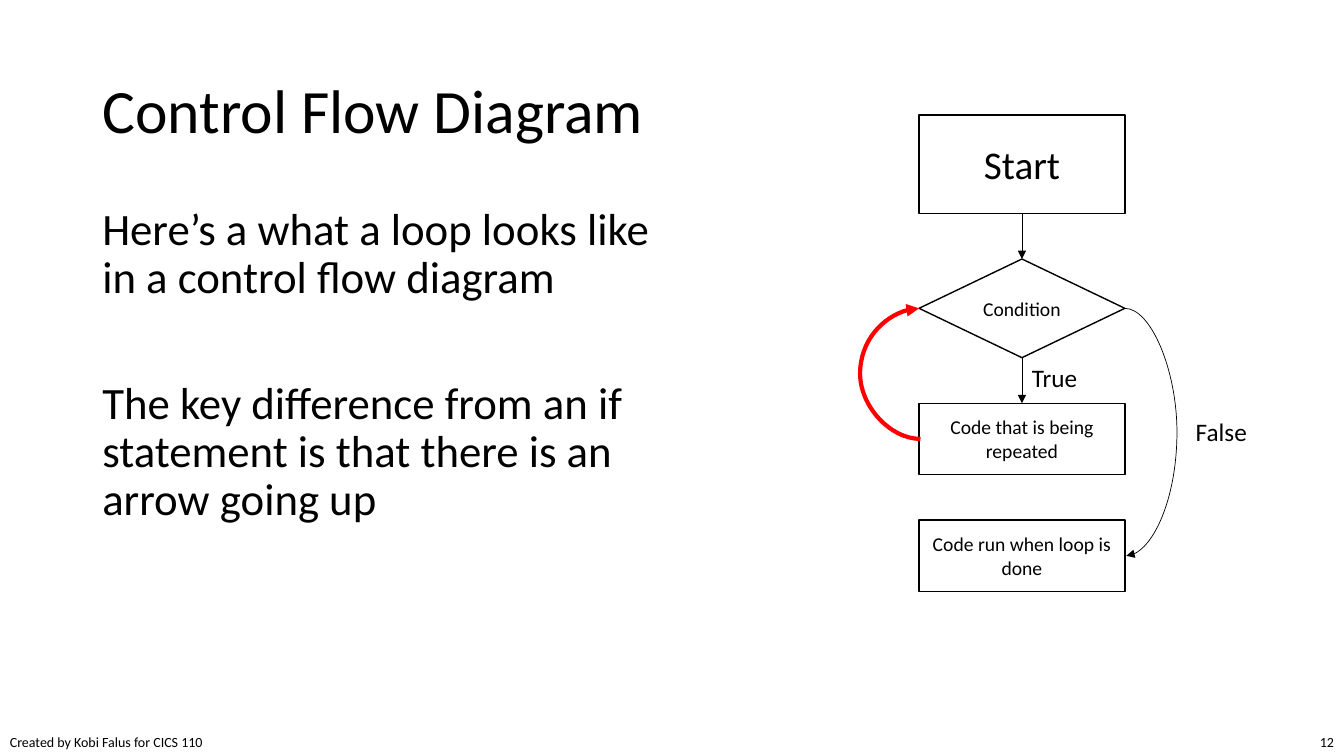
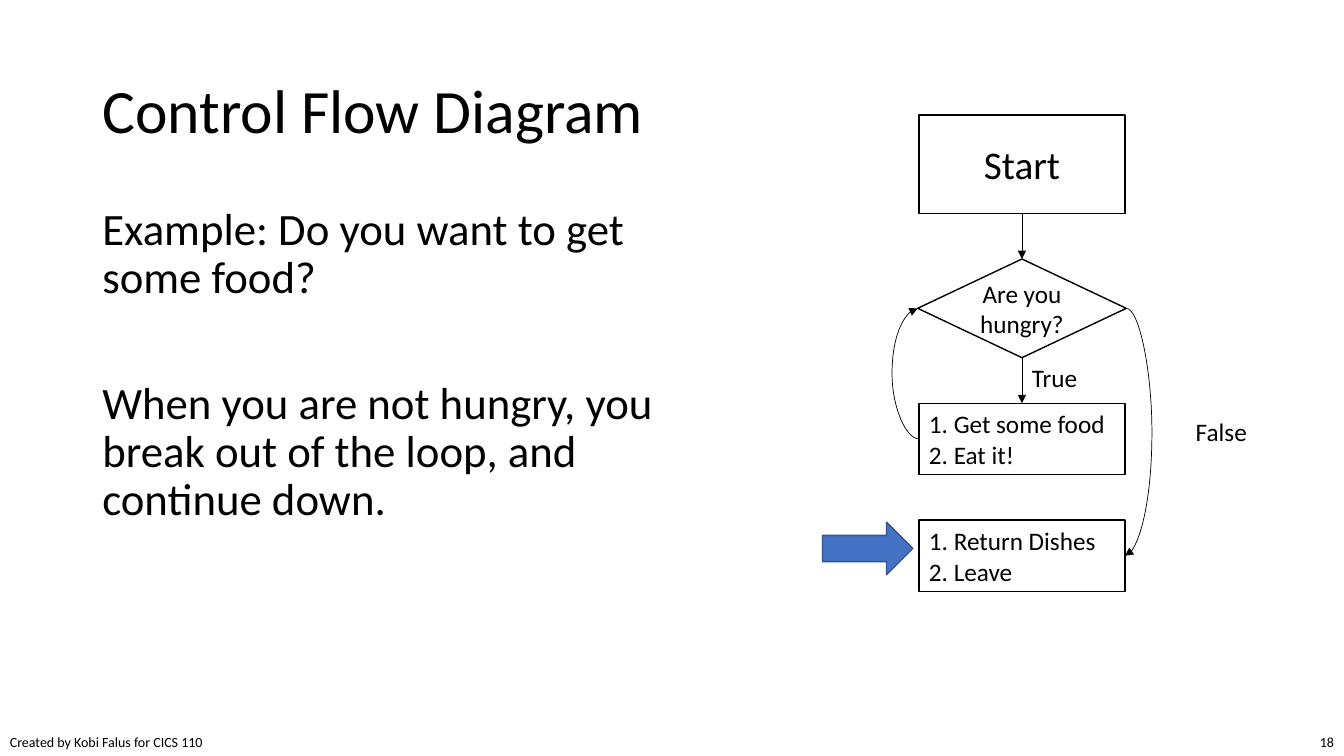
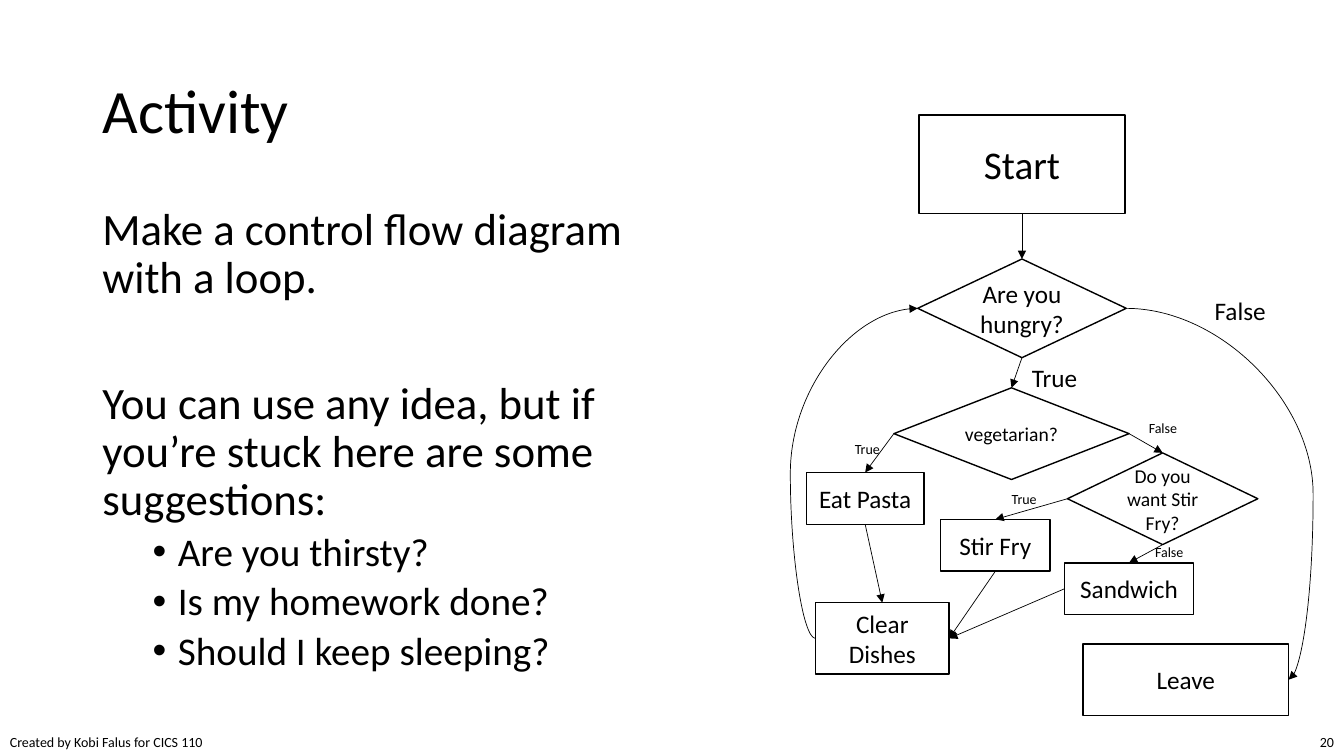
from dataclasses import dataclass
from typing import Any

from lxml import etree
from pptx import Presentation
from pptx.dml.color import RGBColor
from pptx.enum.shapes import MSO_CONNECTOR, MSO_SHAPE
from pptx.enum.text import MSO_ANCHOR, MSO_AUTO_SIZE, PP_ALIGN
from pptx.oxml.ns import qn
from pptx.util import Pt

RECTANGLE = MSO_SHAPE.RECTANGLE
DECISION = MSO_SHAPE.FLOWCHART_DECISION
RIGHT_ARROW = MSO_SHAPE.RIGHT_ARROW
STRAIGHT = MSO_CONNECTOR.STRAIGHT
CURVE = MSO_CONNECTOR.CURVE
LEFT_ALIGNED = PP_ALIGN.LEFT
CENTERED = PP_ALIGN.CENTER
RIGHT_ALIGNED = PP_ALIGN.RIGHT
MIDDLE = MSO_ANCHOR.MIDDLE
TOP_ANCHOR = MSO_ANCHOR.TOP
GROW = MSO_AUTO_SIZE.SHAPE_TO_FIT_TEXT
FIXED = MSO_AUTO_SIZE.NONE

TOP, LEFT, BOTTOM, RIGHT = range(4)
FONT = "Calibri"
BLACK, WHITE, RED = "000000", "FFFFFF", "FF0000"
ARROW_FILL, ARROW_LINE = "4472C4", "325491"
TITLE_ONLY = 5
SLIDE_WIDTH, SLIDE_HEIGHT = 960, 540
LINE_SPACING = 0.9
FOOTER = "Created by Kobi Falus for CICS 110"

Box = tuple[float, float, float, float]
TITLE_BOX: Box = (66, 28.8, 828, 104.4)
BODY_BOX: Box = (66, 144, 435, 343)
FOOTER_BOX: Box = (0, 520.5, 155, 19.5)
NUMBER_BOX: Box = (920.5, 520.5, 39.5, 19.5)

WRAPPED = {"word_wrap": True, "auto_size": FIXED, "vertical_anchor": TOP_ANCHOR}
UNWRAPPED = {"word_wrap": False, "auto_size": GROW, "vertical_anchor": TOP_ANCHOR}
MIDDLE_WRAPPED = {"word_wrap": True, "auto_size": FIXED, "vertical_anchor": MIDDLE}


@dataclass(frozen=True)
class Node:
    name: str
    box: Box
    lines: tuple[str, ...]
    size: float = 18
    kind: Any = RECTANGLE
    align: Any = CENTERED


@dataclass(frozen=True)
class Link:
    start: str
    start_side: int
    end: str
    end_side: int
    bend: float | None = None
    start_shift: float = 0
    end_shift: float = 0
    color: str = BLACK
    width: float = 0.5


@dataclass(frozen=True)
class Label:
    text: str
    box: Box
    size: float = 18


@dataclass(frozen=True)
class Page:
    number: int
    title: str
    paragraphs: tuple[str, str]
    nodes: tuple[Node, ...]
    links: tuple[Link, ...]
    labels: tuple[Label, ...]
    bullets: tuple[str, ...] = ()
    pointer: Box | None = None


START = Node("start", (656.5, 82, 147, 70.5), ("Start",), 28)
CONDITION = Node("question", (656.5, 185, 147, 70.5), ("Condition",), 14, DECISION)
HUNGRY = Node("question", (655.5, 185, 149, 70.5), ("Are you hungry?",), 18, DECISION)
REPEATED_BOX: Box = (656.5, 288, 147, 51)
DONE_BOX: Box = (656.5, 371.5, 147, 51)

START_LINK = Link("start", BOTTOM, "question", TOP)
LOOP_LINK = Link("question", BOTTOM, "repeated", TOP)
TRUE_LABEL = Label("True", (730, 255.5, 47.5, 29))
FALSE_LABEL = Label("False", (847, 294, 51, 29))

PAGES = (
    Page(
        12,
        "Control Flow Diagram",
        (
            "Here’s a what a loop looks like in a control flow diagram",
            "The key difference from an if statement is that there is an arrow going up",
        ),
        (
            START,
            CONDITION,
            Node("repeated", REPEATED_BOX, ("Code that is being repeated",), 14),
            Node("done", DONE_BOX, ("Code run when loop is done",), 14),
        ),
        (
            START_LINK,
            LOOP_LINK,
            Link("question", RIGHT, "done", RIGHT, 841, end_shift=1),
            Link("repeated", LEFT, "question", LEFT, 614, 1, color=RED, width=3),
        ),
        (TRUE_LABEL, FALSE_LABEL),
    ),
    Page(
        18,
        "Control Flow Diagram",
        (
            "Example: Do you want to get some food?",
            "When you are not hungry, you break out of the loop, and continue down.",
        ),
        (
            START,
            HUNGRY,
            Node("repeated", REPEATED_BOX, ("1. Get some food", "2. Eat it!"), align=LEFT_ALIGNED),
            Node("done", DONE_BOX, ("1. Return Dishes", "2. Leave"), align=LEFT_ALIGNED),
        ),
        (
            START_LINK,
            LOOP_LINK,
            Link("question", RIGHT, "done", RIGHT, 823),
            Link("repeated", LEFT, "question", LEFT, 637),
        ),
        (TRUE_LABEL, FALSE_LABEL),
        pointer=(587.5, 373, 64.5, 37.5),
    ),
    Page(
        20,
        "Activity",
        (
            "Make a control flow diagram with a loop.",
            "You can use any idea, but if you’re stuck here are some suggestions:",
        ),
        (
            START,
            HUNGRY,
            Node("leave", (773.5, 460, 147, 51), ("Leave",)),
            Node("vegetarian", (638.5, 277, 168, 65.5), ("vegetarian?",), 14, DECISION),
            Node("choice", (762.5, 323.5, 136, 65.5), ("Do you want Stir Fry?",), 14, DECISION),
            Node("pasta", (576, 337.5, 84, 37), ("Eat Pasta",)),
            Node("sandwich", (760.5, 402, 92, 37), ("Sandwich",)),
            Node("stir fry", (672, 371, 78, 37), ("Stir Fry",)),
            Node("dishes", (582.5, 430.5, 95.5, 51), ("Clear Dishes",)),
        ),
        (
            START_LINK,
            Link("question", BOTTOM, "vegetarian", TOP),
            Link("question", RIGHT, "leave", RIGHT, 938),
            Link("vegetarian", RIGHT, "choice", TOP),
            Link("vegetarian", LEFT, "pasta", TOP),
            Link("choice", LEFT, "stir fry", TOP),
            Link("choice", BOTTOM, "sandwich", TOP),
            Link("pasta", BOTTOM, "dishes", TOP),
            Link("stir fry", BOTTOM, "dishes", RIGHT),
            Link("sandwich", LEFT, "dishes", RIGHT),
            Link("dishes", LEFT, "question", LEFT, 564.5),
        ),
        (
            TRUE_LABEL,
            Label("False", (860.5, 207.5, 51, 29)),
            Label("False", (818, 385, 41, 19.5), 10),
            Label("False", (813.5, 296, 41, 19.5), 10),
            Label("True", (603.5, 311, 38, 19.5), 10),
            Label("True", (715.5, 346.5, 38, 19.5), 10),
        ),
        bullets=("Are you thirsty?", "Is my homework done?", "Should I keep sleeping?"),
    ),
)


def color(value: str) -> RGBColor:
    return RGBColor.from_string(value)


def apply_format(target: Any, values: dict[str, Any]) -> None:
    for name, value in values.items():
        setattr(target, name, value)


def place(box: Box) -> tuple[Pt, ...]:
    return tuple(Pt(value) for value in box)


def write_paragraph(paragraph: Any, text: str, size: float, **values: Any) -> None:
    apply_format(paragraph, values)
    run = paragraph.add_run()
    run.text = text
    apply_format(run.font, {"name": FONT, "size": Pt(size)})
    run.font.color.rgb = color(BLACK)


def write_lines(frame: Any, lines: tuple[str, ...], size: float, **values: Any) -> None:
    for index, line in enumerate(lines):
        paragraph = frame.add_paragraph() if index else frame.paragraphs[0]
        write_paragraph(paragraph, line, size, **values)


def add_text(slide: Any, label: Label, frame_format: dict[str, Any], align: Any = LEFT_ALIGNED) -> None:
    frame = slide.shapes.add_textbox(*place(label.box)).text_frame
    apply_format(frame, frame_format)
    write_lines(frame, (label.text,), label.size, alignment=align)


def add_title(slide: Any, text: str) -> None:
    title = slide.shapes.title
    apply_format(title, dict(zip(("left", "top", "width", "height"), place(TITLE_BOX))))
    apply_format(title.text_frame, MIDDLE_WRAPPED)
    write_lines(title.text_frame, (text,), 44, alignment=LEFT_ALIGNED, line_spacing=LINE_SPACING)


def add_body(slide: Any, page: Page) -> None:
    frame = slide.shapes.add_textbox(*place(BODY_BOX)).text_frame
    apply_format(frame, WRAPPED)
    write_lines(frame, page.paragraphs, 32, line_spacing=LINE_SPACING)
    frame.paragraphs[1].space_before = Pt(55)
    for text in page.bullets:
        paragraph = frame.add_paragraph()
        properties = paragraph._p.get_or_add_pPr()
        properties.set("marL", str(Pt(54)))
        properties.set("indent", str(Pt(-18)))
        etree.SubElement(properties, qn("a:buFont")).set("typeface", "Arial")
        etree.SubElement(properties, qn("a:buChar")).set("char", "•")
        write_paragraph(paragraph, text, 28, level=1, space_before=Pt(5), line_spacing=LINE_SPACING)


def add_outlined_shape(slide: Any, kind: Any, box: Box, fill: str, line: str) -> Any:
    shape = slide.shapes.add_shape(kind, *place(box))
    shape.shadow.inherit = False
    shape.fill.solid()
    shape.fill.fore_color.rgb = color(fill)
    shape.line.color.rgb = color(line)
    shape.line.width = Pt(1)
    return shape


def add_node(slide: Any, node: Node) -> Any:
    shape = add_outlined_shape(slide, node.kind, node.box, WHITE, BLACK)
    apply_format(shape.text_frame, MIDDLE_WRAPPED)
    write_lines(shape.text_frame, node.lines, node.size, alignment=node.align)
    return shape


def side_point(shape: Any, side: int, shift: float) -> tuple[int, int]:
    across = {TOP: 0.5, LEFT: 0, BOTTOM: 0.5, RIGHT: 1}[side]
    down = {TOP: 0, LEFT: 0.5, BOTTOM: 1, RIGHT: 0.5}[side]
    return (
        int(shape.left + across * shape.width + Pt(shift)),
        int(shape.top + down * shape.height),
    )


def bend_curve(connector: Any, bend: float) -> None:
    ratio = (Pt(bend) - connector.begin_x) / (connector.end_x - connector.begin_x)
    properties = connector._element.spPr
    guide = etree.SubElement(properties.find(qn("a:prstGeom")).find(qn("a:avLst")), qn("a:gd"))
    guide.set("name", "adj1")
    guide.set("fmla", f"val {round(ratio * 100000)}")
    if connector.begin_y > connector.end_y:
        transform = properties.find(qn("a:xfrm"))
        flipped = transform.get("flipH") == "1"
        transform.set("rot", "10800000")
        transform.set("flipH", "0" if flipped else "1")
        transform.set("flipV", "0")


def add_link(slide: Any, link: Link, shapes: dict[str, Any]) -> None:
    start, end = shapes[link.start], shapes[link.end]
    connector = slide.shapes.add_connector(
        STRAIGHT if link.bend is None else CURVE,
        *side_point(start, link.start_side, link.start_shift),
        *side_point(end, link.end_side, link.end_shift),
    )
    if not link.start_shift:
        connector.begin_connect(start, link.start_side)
    if not link.end_shift:
        connector.end_connect(end, link.end_side)
    connector.line.color.rgb = color(link.color)
    connector.line.width = Pt(link.width)
    properties = connector._element.spPr
    etree.SubElement(properties.find(qn("a:ln")), qn("a:tailEnd")).set("type", "triangle")
    etree.SubElement(properties, qn("a:effectLst"))
    if link.bend is not None:
        bend_curve(connector, link.bend)


def add_page(presentation: Any, page: Page) -> None:
    slide = presentation.slides.add_slide(presentation.slide_layouts[TITLE_ONLY])
    add_text(slide, Label(FOOTER, FOOTER_BOX, 10), UNWRAPPED)
    add_text(slide, Label(str(page.number), NUMBER_BOX, 10), WRAPPED, RIGHT_ALIGNED)
    add_title(slide, page.title)
    add_body(slide, page)
    shapes = {node.name: add_node(slide, node) for node in page.nodes}
    for link in page.links:
        add_link(slide, link, shapes)
    for label in page.labels:
        add_text(slide, label, UNWRAPPED if label.size == 18 else WRAPPED)
    if page.pointer:
        add_outlined_shape(slide, RIGHT_ARROW, page.pointer, ARROW_FILL, ARROW_LINE)


def main() -> None:
    presentation = Presentation()
    presentation.slide_width = Pt(SLIDE_WIDTH)
    presentation.slide_height = Pt(SLIDE_HEIGHT)
    for page in PAGES:
        add_page(presentation, page)
    presentation.save("out.pptx")


if __name__ == "__main__":
    main()
